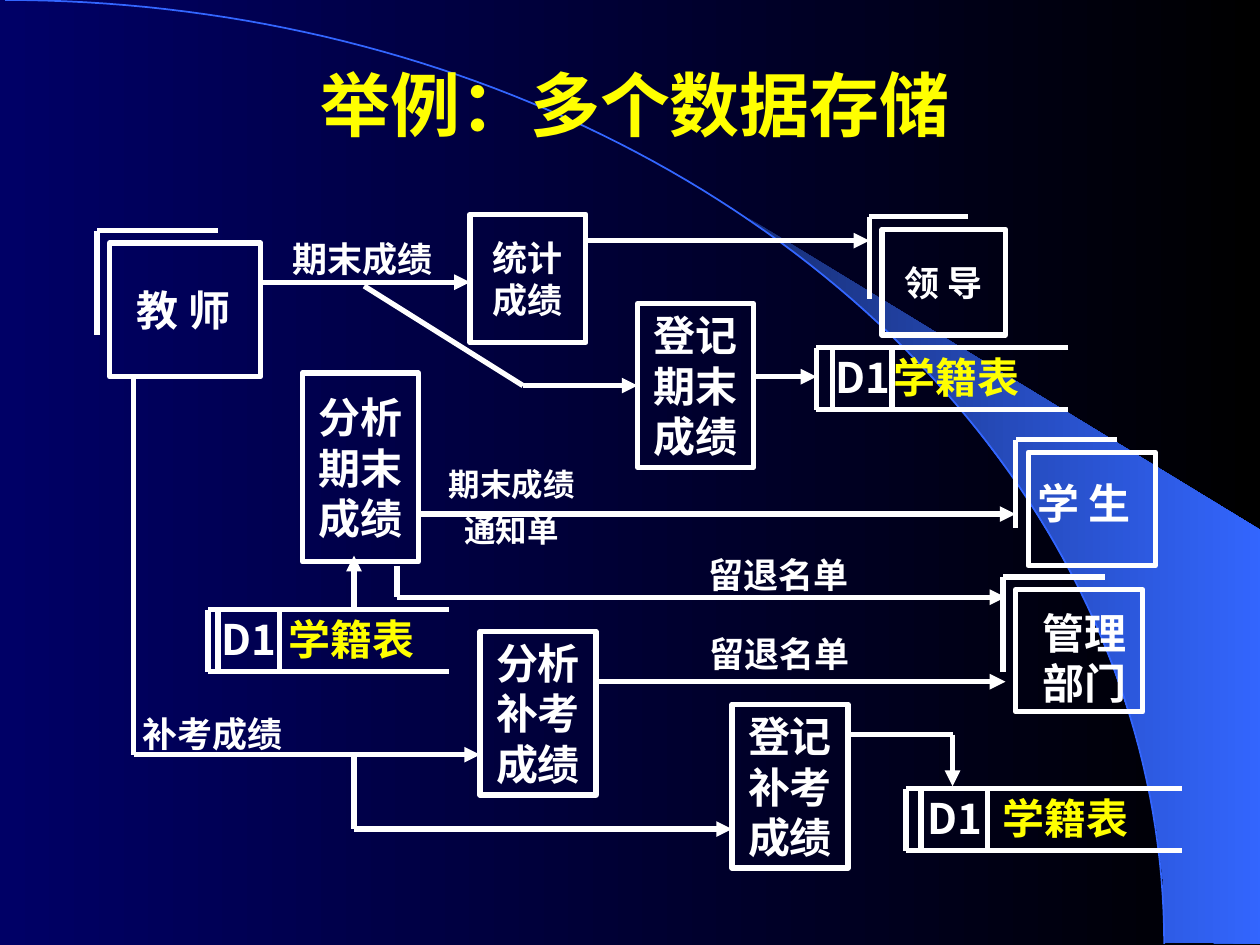
from itertools import pairwise
from math import cos, pi, sin

from lxml.etree import SubElement
from pptx import Presentation
from pptx.dml.color import RGBColor
from pptx.enum.shapes import MSO_CONNECTOR as CONN, MSO_SHAPE as SHAPE
from pptx.enum.text import MSO_ANCHOR as ANCHOR, PP_ALIGN as ALIGN
from pptx.oxml.ns import qn
from pptx.util import Inches, Pt

# The slide is a grid of 100 columns by 75 rows with square cells
COLS, ROWS = 100, 75
CELL = Inches(10) / COLS
FONT = "Noto Sans CJK SC"
WHITE, YELLOW, BLUE = "FFFFFF", "FFFF00", "3366FF"


def grid(*cells):
    return [round(c * CELL) for c in cells]


def color(hex_code):
    return RGBColor.from_string(hex_code)


def gradient(fill, first, last):
    fill.gradient()
    fill.gradient_angle = 0
    for stop, hex_code in zip(fill.gradient_stops, (first, last)):
        stop.color.rgb = color(hex_code)


def stroke(line, hex_code=WHITE, width=3):
    line.color.rgb = color(hex_code)
    line.width = Pt(width)


def write(sp, lines, size, hex_code=WHITE, spacing=None, side=1, edge=0.5):
    tf = sp.text_frame
    # Short labels stay on one line
    tf.word_wrap = len(lines[0]) > 3
    tf.vertical_anchor = ANCHOR.MIDDLE
    tf.margin_left = tf.margin_right = grid(side)[0]
    tf.margin_top = tf.margin_bottom = grid(edge)[0]
    for i, line in enumerate(lines):
        p = tf.paragraphs[0] if i == 0 else tf.add_paragraph()
        p.add_run().text = line
        p.alignment = ALIGN.CENTER
        if spacing:
            p.line_spacing = spacing
        if i:
            p.space_before = Pt(size * 0.62)
        font = p.font
        font.name, font.size, font.bold = FONT, Pt(size), True
        font.color.rgb = color(hex_code)
        # East Asian characters need their own typeface entry
        SubElement(font._element, qn("a:ea")).set("typeface", FONT)


def label(s, box, lines, size, **style):
    write(s.shapes.add_textbox(*grid(*box)), lines, size, **style)


def frame(s, box):
    sp = s.shapes.add_shape(SHAPE.RECTANGLE, *grid(*box))
    sp.shadow.inherit = False
    sp.fill.background()
    stroke(sp.line)
    return sp


def flow(s, *points, arrow=True):
    """Straight segments through the points; the last may have an arrowhead."""
    for start, end in pairwise(points):
        cxn = s.shapes.add_connector(CONN.STRAIGHT, *grid(*start, *end))
        stroke(cxn.line)
        SubElement(cxn._element.spPr, qn("a:effectLst"))
        if arrow and end == points[-1]:
            head = SubElement(cxn.line._get_or_add_ln(), qn("a:tailEnd"))
            head.set("type", "triangle")


def process(s, box, text, size=24, edge=0.5):
    write(frame(s, box), [text], size, edge=edge)


def entity(s, box, drop, text, text_box, size=24):
    """A frame with an angle line above its left corner."""
    left, top, width, _ = box
    frame(s, box)
    x, y = left - 1, top - 1
    flow(s, (x + width * 0.8, y), (x, y), (x, y + drop), arrow=False)
    label(s, text_box, [text], size)


def store(s, left, right, top, bars, name_center):
    """An open-ended data store: number between bars, then the name."""
    bottom = top + 4.9
    flow(s, (right, top), (left, top), (left, bottom), (right, bottom),
         arrow=False)
    for x in bars:
        flow(s, (x, top), (x, bottom), arrow=False)
    label(s, (sum(bars) / 2 - 3.4, top - 0.2, 6.8, 5), ["D1"], 24)
    label(s, (name_center - 6, top - 0.2, 12, 5), ["学籍表"], 24,
          hex_code=YELLOW)


def outline(s, points, close):
    start, *rest = [grid(*pt) for pt in points]
    builder = s.shapes.build_freeform(*start)
    builder.add_line_segments(rest, close=close)
    sp = builder.convert_to_shape()
    sp.shadow.inherit = False
    return sp


def backdrop(s):
    gradient(s.background.fill, "000066", "000000")
    # Light beam on the right
    beam = outline(s, [
        (92.5, 74.8), (100.4, 74.9), (100.4, 42.3), (59.4, 17.3),
        (62.9, 19.9), (65.8, 22.2), (69, 25), (72.2, 28), (76.7, 33),
        (80.8, 38.4), (83.7, 43.1), (86.3, 47.9), (88.3, 52.8),
        (89.8, 57.2), (90.8, 60.9), (91.8, 65.6), (92.3, 69.6)], True)
    gradient(beam.fill, "182F76", BLUE)
    beam.line.fill.background()
    # Horizon: a quarter ellipse
    steps = 90
    angles = [i * pi / 2 / steps for i in range(steps + 1)]
    arc = outline(s, [(0.4 + 92 * sin(a), 74.9 * (1 - cos(a)))
                      for a in angles], False)
    arc.fill.background()
    stroke(arc.line, BLUE, 1)


def main():
    prs = Presentation()
    prs.slide_width, prs.slide_height = grid(COLS, ROWS)
    s = prs.slides.add_slide(prs.slide_layouts[6])
    backdrop(s)
    label(s, (5.1, 4.4, 90.6, 7.7), ["举例：多个数据存储"], 40, hex_code=YELLOW)

    # External entities
    entity(s, (8.7, 19.3, 12, 10.6), 8.3, "教 师", (9.4, 22.1, 10.3, 5))
    entity(s, (70, 18.2, 9.8, 8.4), 6.5, "领 导", (70.4, 20.2, 8.9, 4.4), 20)
    entity(s, (81.6, 35.9, 10.1, 9), 7, "学 生", (80.9, 37.4, 10.3, 5))
    entity(s, (80.6, 46.8, 10.1, 9.7), 7.5, "管理部门", (80.6, 47.7, 10.9, 9))

    # Processes
    process(s, (37.3, 17, 9.2, 10.2), "统计成绩", 20, edge=0)
    process(s, (24, 29.6, 9.2, 15), "分析期末成绩")
    for left, top, text in ((50.6, 24.1, "登记期末成绩"),
                            (38.1, 50.1, "分析补考成绩"),
                            (58.1, 55.9, "登记补考成绩")):
        process(s, (left, top, 9.2, 13), text)

    # Data stores
    store(s, 16.5, 35.6, 48.4, (17.3, 22.2), 27.9)
    store(s, 64.8, 84.8, 27.6, (66.1, 70.8), 75.9)
    store(s, 71.9, 93.8, 62.6, (73.1, 78.4), 84.6)

    # Data flows
    flow(s, (20.6, 22.4), (37.3, 22.4))
    flow(s, (28.9, 22.7), (41.5, 30.6), (50.6, 30.6))
    flow(s, (46.5, 19.1), (69, 19.1))
    flow(s, (59.8, 29.9), (64.8, 29.9))
    flow(s, (33.1, 40.8), (80.6, 40.8))
    flow(s, (31.5, 44.9), (31.5, 47.4), (79.8, 47.4))
    flow(s, (28.1, 48.3), (28.1, 44.1))
    flow(s, (47.3, 54.1), (79.8, 54.1))
    flow(s, (10.6, 29.9), (10.6, 59.9), (38.1, 59.9))
    flow(s, (28.1, 59.9), (28.1, 65.8), (58.1, 65.8))
    flow(s, (67.3, 58.3), (75.6, 58.3), (75.6, 62.4))

    # Flow names
    label(s, (20.9, 17, 15.8, 5.7), ["期末成绩"], 20, spacing=1.4)
    label(s, (32.7, 37.2, 15.8, 6.8), ["期末成绩", "通知单"], 18, spacing=0.7)
    for left, top, text in ((53.9, 43.4, "留退名单"), (54, 49.7, "留退名单"),
                            (9, 56, "补考成绩")):
        label(s, (left, top, 15.8, 4.4), [text], 20)

    prs.save("out.pptx")


if __name__ == "__main__":
    main()
